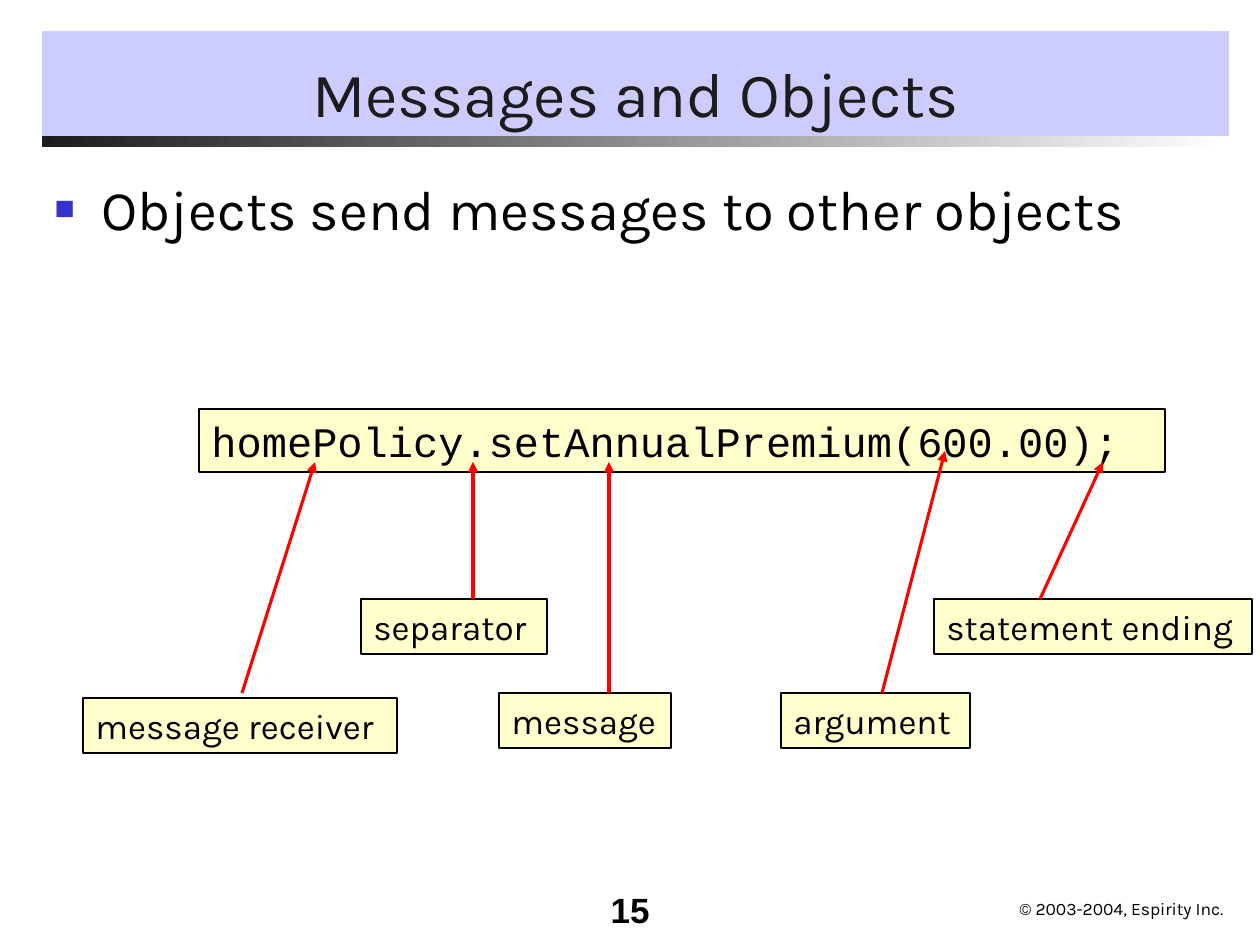
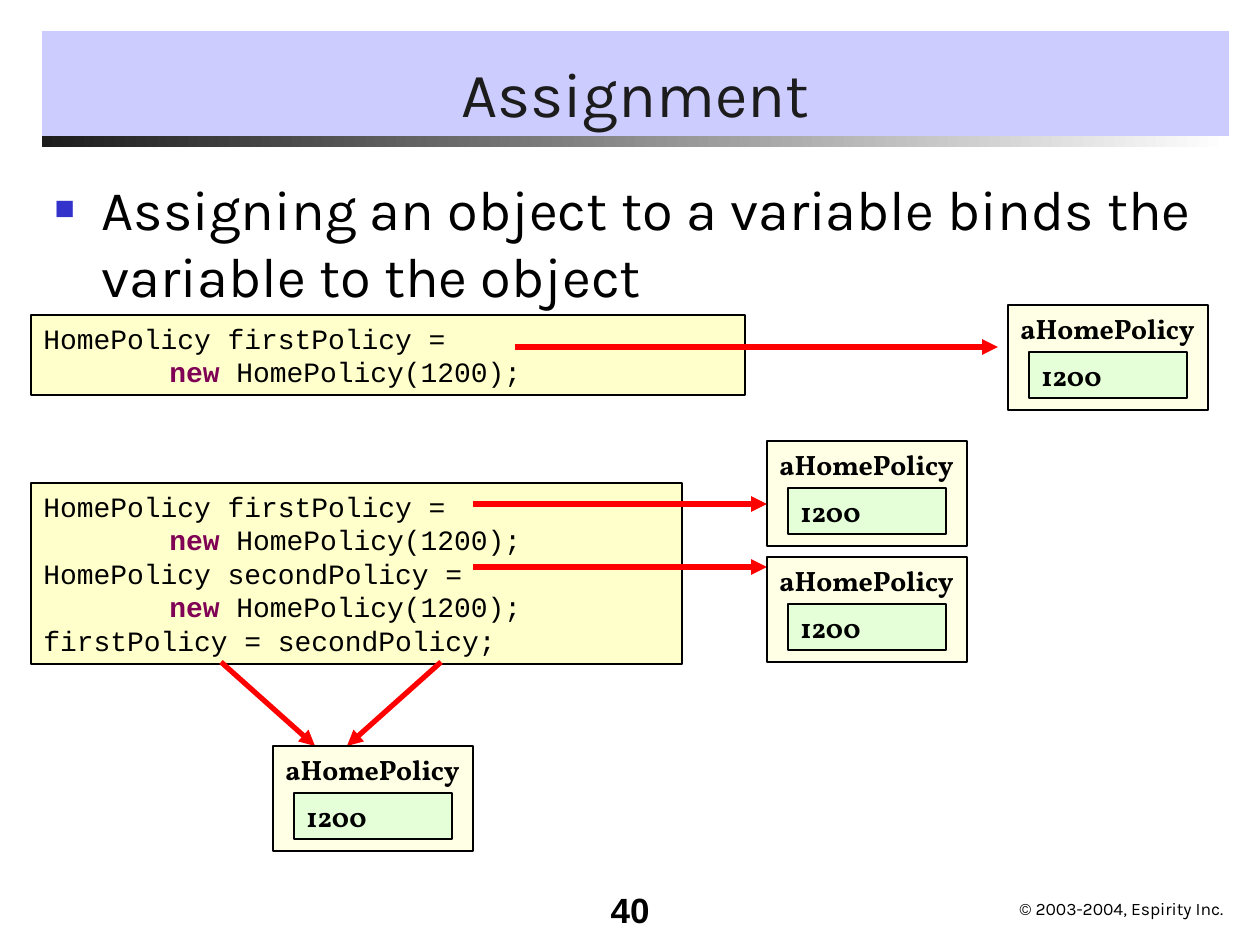
from lxml import etree
from pptx import Presentation
from pptx.dml.color import RGBColor
from pptx.enum.shapes import MSO_CONNECTOR, MSO_SHAPE
from pptx.enum.text import MSO_ANCHOR, MSO_AUTO_SIZE, PP_ALIGN
from pptx.oxml.ns import qn
from pptx.util import Emu, Pt

RECT = MSO_SHAPE.RECTANGLE
STRAIGHT = MSO_CONNECTOR.STRAIGHT
LEFT, CENTER, RIGHT = PP_ALIGN.LEFT, PP_ALIGN.CENTER, PP_ALIGN.RIGHT
TOP, BOTTOM = MSO_ANCHOR.TOP, MSO_ANCHOR.BOTTOM
NO_FIT = MSO_AUTO_SIZE.NONE

SANS, MONO, SERIF, NUMBER = "Karla", "Courier New", "Vollkorn", "Arial"
BLACK, INK, WHITE = "000000", "1C1C1C", "FFFFFF"
BAND, BULLET, ARROW, KEYWORD = "CCCCFF", "3333CC", "FF0000", "7F0055"
YELLOW, GREEN = "FFFFCC", "CCFFCC"


def px(n):
    return Emu(round(n * 914400 / 126))


def rgb(color):
    return RGBColor.from_string(color)


def add_xml(parent, tag, **attrs):
    return etree.SubElement(parent, qn(tag), attrs)


class Deck:
    def __init__(self):
        self.prs = Presentation()
        self.prs.slide_width, self.prs.slide_height = px(1260), px(945)
        self.s = None

    def style(self, tf, font, size, color=BLACK, bold=False, align=LEFT,
              anchor=TOP, wrap=True):
        tf.word_wrap, tf.auto_size, tf.vertical_anchor = wrap, NO_FIT, anchor
        for p in tf.paragraphs:
            p.alignment = align
            for r in p.runs:
                r.font.name, r.font.size, r.font.bold = font, Pt(size), bold
                r.font.color.rgb = rgb(color)

    def place(self, sp, x, y, w, h):
        sp.left, sp.top, sp.width, sp.height = px(x), px(y), px(w), px(h)

    def slide(self, title, bullet, number):
        """Start a slide with title band, bullet, page number and copyright."""
        self.s = self.prs.slides.add_slide(self.prs.slide_layouts[1])
        heading, body = self.s.placeholders
        self.place(heading, 42, 31, 1187, 105)
        heading.fill.solid()
        heading.fill.fore_color.rgb = rgb(BAND)
        heading.text_frame.text = title
        self.style(heading.text_frame, SANS, 36, INK, align=CENTER, anchor=BOTTOM)

        self.place(body, 42, 168, 1192, 683)
        body.text_frame.text = bullet
        p = body.text_frame.paragraphs[0]
        pPr = p._p.get_or_add_pPr()
        pPr.set("marL", str(px(47)))
        pPr.set("indent", str(-px(47)))
        add_xml(add_xml(pPr, "a:buClr"), "a:srgbClr", val=BULLET)
        add_xml(pPr, "a:buSzPct", val="60000")
        add_xml(pPr, "a:buChar", char="■")
        p.space_before = Pt(0)
        self.style(body.text_frame, SANS, 32)

        self.fading_rule(42, 136, 1187, 11)
        self.text(557, 882, 105, 63, number, NUMBER, 20, bold=True, align=RIGHT)
        self.text(1007, 892, 233, 34, "© 2003-2004, Espirity Inc.", SANS, 10,
                  wrap=False)

    def fading_rule(self, x, y, w, h):
        sp = self.s.shapes.add_shape(RECT, px(x), px(y), px(w), px(h))
        sp.shadow.inherit = False
        sp.line.fill.background()
        sp.fill.gradient()
        sp.fill.gradient_angle = 0
        for stop, color in zip(sp.fill.gradient_stops, (INK, WHITE)):
            stop.color.rgb = rgb(color)

    def text(self, x, y, w, h, text, font, size, shapes=None, **style):
        shapes = shapes or self.s.shapes
        tb = shapes.add_textbox(px(x), px(y), px(w), px(h))
        tb.text_frame.text = text
        self.style(tb.text_frame, font, size, **style)

    def box(self, x, y, w, h, fill=YELLOW, alpha=None, shapes=None):
        shapes = shapes or self.s.shapes
        sp = shapes.add_shape(RECT, px(x), px(y), px(w), px(h))
        sp.shadow.inherit = False
        sp.fill.solid()
        sp.fill.fore_color.rgb = rgb(fill)
        if alpha:
            solid = sp.element.spPr.find(qn("a:solidFill"))
            add_xml(solid[0], "a:alpha", val=str(alpha * 1000))
        sp.line.color.rgb = rgb(BLACK)
        sp.line.width = Pt(0.75)
        return sp

    def label(self, x, y, w, text):
        sp = self.box(x, y, w, 55)
        sp.text_frame.text = text
        self.style(sp.text_frame, SANS, 20, wrap=False)

    def code(self, x, y, w, h, lines, size):
        """Draw a code box with tab stops and the keyword new highlighted."""
        tf = self.box(x, y, w, h).text_frame
        for i, line in enumerate(lines):
            p = tf.add_paragraph() if i else tf.paragraphs[0]
            tabs = add_xml(p._p.get_or_add_pPr(), "a:tabLst")
            add_xml(tabs, "a:tab", pos=str(px(126)), algn="l")
            for part in filter(None, line.partition("new")):
                p.add_run().text = part
        self.style(tf, MONO, size)
        for p in tf.paragraphs:
            for r in p.runs:
                if r.text == "new":
                    r.font.bold = True
                    r.font.color.rgb = rgb(KEYWORD)

    def policy(self, x, y):
        """Draw an aHomePolicy object holding its premium."""
        shapes = self.s.shapes.add_group_shape().shapes
        self.box(x, y, 200, 105, alpha=50, shapes=shapes)
        premium = self.box(x + 21, y + 47, 158, 46, GREEN, 50, shapes)
        premium.text_frame.text = "1200"
        self.style(premium.text_frame, SERIF, 16, bold=True)
        self.text(x, y, 210, 81, "aHomePolicy", SERIF, 16, shapes, bold=True)

    def arrow(self, x1, y1, x2, y2, width):
        c = self.s.shapes.add_connector(STRAIGHT, px(x1), px(y1), px(x2), px(y2))
        c.line.color.rgb = rgb(ARROW)
        c.line.width = Pt(width)
        spPr = c.element.spPr
        add_xml(spPr.find(qn("a:ln")), "a:tailEnd", type="triangle")
        add_xml(spPr, "a:effectLst")


def messages_slide(deck):
    deck.slide("Messages and Objects", "Objects send messages to other objects", "15")
    deck.code(199, 409, 966, 63, ["homePolicy.setAnnualPremium(600.00);"], 24)
    parts = [
        ("message receiver", (83, 698, 314), (242, 693, 315, 462)),
        ("message", (499, 693, 172), (609, 693, 609, 462)),
        ("argument", (781, 693, 189), (882, 693, 945, 451)),
        ("separator", (361, 599, 186), (473, 599, 473, 462)),
        ("statement ending", (934, 599, 318), (1040, 599, 1103, 462)),
    ]
    for text, place, ends in parts:
        deck.label(*place, text)
        deck.arrow(*ends, 1.75)


def assignment_slide(deck):
    deck.slide("Assignment", "Assigning an object to a variable binds the "
               "variable to the object", "40")
    create = "\tnew HomePolicy(1200);"
    first = ["HomePolicy firstPolicy =", create]
    second = ["HomePolicy secondPolicy =", create, "firstPolicy = secondPolicy;"]
    deck.code(31, 315, 714, 80, first, 16)
    deck.code(31, 483, 651, 181, first + second, 16)
    for ends in [(515, 347, 998, 347), (473, 567, 767, 567), (473, 504, 767, 504),
                 (221, 662, 315, 746), (441, 662, 347, 746)]:
        deck.arrow(*ends, 3)
    for x, y in [(1008, 305), (273, 746), (767, 557), (767, 441)]:
        deck.policy(x, y)


def main():
    deck = Deck()
    messages_slide(deck)
    assignment_slide(deck)
    deck.prs.save("out.pptx")


if __name__ == "__main__":
    main()
